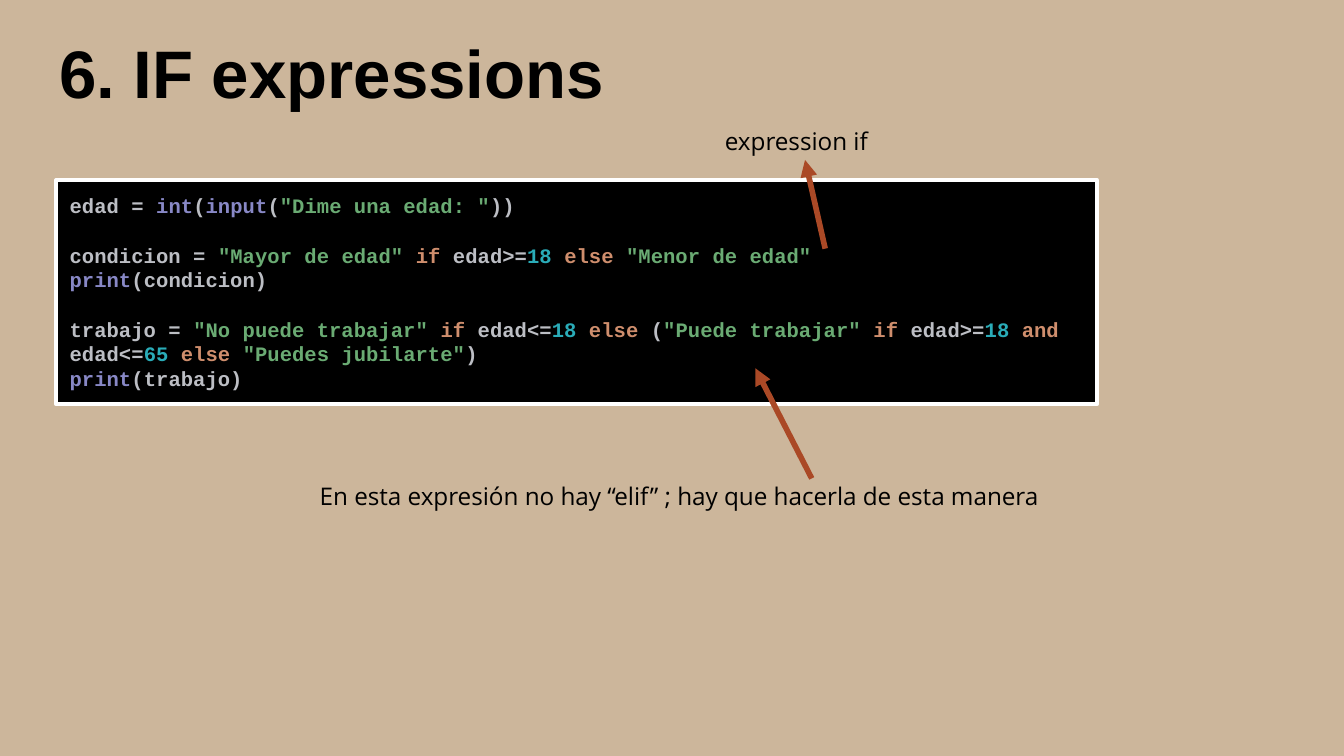
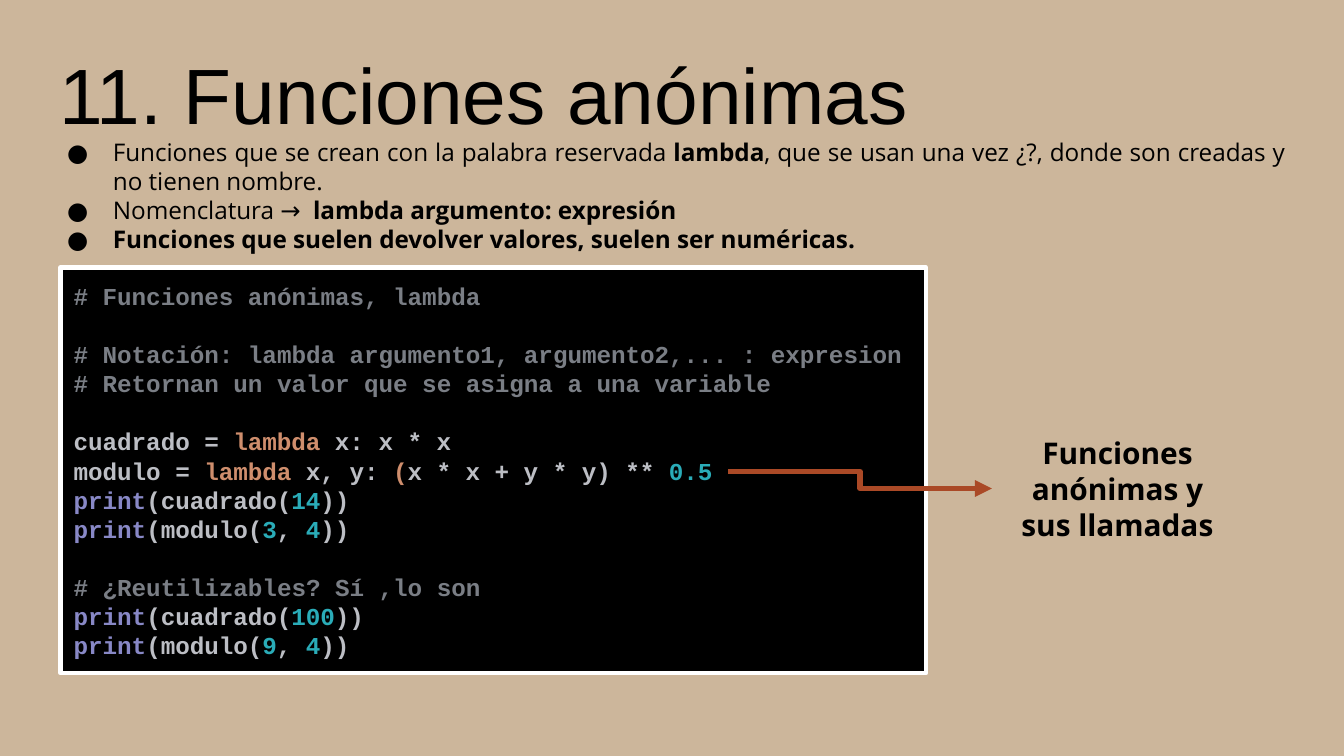
from dataclasses import dataclass

from lxml.etree import SubElement
from pptx import Presentation
from pptx.dml.color import RGBColor
from pptx.enum.shapes import MSO_CONNECTOR, MSO_SHAPE
from pptx.enum.text import MSO_ANCHOR, MSO_AUTO_SIZE, PP_ALIGN
from pptx.oxml.ns import qn
from pptx.util import Inches, Pt

SAND = RGBColor(0xCC, 0xB6, 0x9B)
BLACK = RGBColor(0x00, 0x00, 0x00)
WHITE = RGBColor(0xFF, 0xFF, 0xFF)
RUST = RGBColor(0xAA, 0x49, 0x26)
PLAIN = RGBColor(0xBC, 0xBE, 0xC4)
BUILTIN = RGBColor(0x88, 0x88, 0xC6)
STRING = RGBColor(0x6A, 0xAB, 0x73)
KEYWORD = RGBColor(0xCF, 0x8E, 0x6D)
NUMBER = RGBColor(0x2A, 0xAC, 0xB8)
COMMENT = RGBColor(0x7A, 0x7E, 0x85)

TITLE_FONT = "Arial"
TEXT_FONT = "Open Sans"
CODE_FONT = "Courier New"
CODE_LEADING = 1.2
INSET = Inches(0.1)
TITLE_ONLY, TITLE_AND_CONTENT = 5, 1


@dataclass
class Region:
    left: int
    top: int
    width: int
    height: int

    def point(self, column, row):
        return (int(self.left + self.width * column / 100),
                int(self.top + self.height * row / 100))

    def area(self, column, row, columns, rows):
        return Region(*self.point(column, row),
                      int(self.width * columns / 100), int(self.height * rows / 100))

    def bounds(self):
        return self.left, self.top, self.width, self.height


def prepare_frame(holder, anchor):
    frame = holder.text_frame
    frame.word_wrap = True
    frame.auto_size = MSO_AUTO_SIZE.NONE
    frame.vertical_anchor = anchor
    frame.margin_left = frame.margin_right = INSET
    frame.margin_top = frame.margin_bottom = INSET
    return frame


def next_paragraph(frame, index, align):
    paragraph = frame.add_paragraph() if index else frame.paragraphs[0]
    paragraph.alignment = align
    paragraph.space_before = Pt(0)
    return paragraph


def add_run(paragraph, text, font, size, color=BLACK, bold=False):
    run = paragraph.add_run()
    run.text = text
    run.font.name = font
    run.font.size = Pt(size)
    run.font.color.rgb = color
    run.font.bold = bold


def move_to(placeholder, region):
    placeholder.left, placeholder.top, placeholder.width, placeholder.height = region.bounds()


def start_slide(deck, layout):
    slide = deck.slides.add_slide(deck.slide_layouts[layout])
    slide.background.fill.solid()
    slide.background.fill.fore_color.rgb = SAND
    return slide, Region(0, 0, deck.slide_width, deck.slide_height)


def set_title(slide, region, text, size, bold=False):
    title = slide.shapes.title
    move_to(title, region)
    frame = prepare_frame(title, MSO_ANCHOR.BOTTOM)
    add_run(next_paragraph(frame, 0, PP_ALIGN.LEFT), text, TITLE_FONT, size, BLACK, bold)


def set_bullets(slide, region, items, size):
    body = slide.placeholders[1]
    move_to(body, region)
    frame = prepare_frame(body, MSO_ANCHOR.MIDDLE)
    for index, item in enumerate(items):
        paragraph = next_paragraph(frame, index, PP_ALIGN.JUSTIFY)
        properties = paragraph._p.get_or_add_pPr()
        properties.set("marL", str(Inches(0.5)))
        properties.set("indent", str(Inches(-0.34)))
        bullet_color = SubElement(properties, qn("a:buClr"))
        SubElement(bullet_color, qn("a:srgbClr")).set("val", str(BLACK))
        SubElement(properties, qn("a:buFont")).set("typeface", TEXT_FONT)
        SubElement(properties, qn("a:buChar")).set("char", "●")
        for text, bold in item:
            add_run(paragraph, text, TEXT_FONT, size, BLACK, bold)


def add_code(slide, region, blocks, size):
    panel = slide.shapes.add_shape(MSO_SHAPE.RECTANGLE, *region.bounds())
    panel.shadow.inherit = False
    panel.fill.solid()
    panel.fill.fore_color.rgb = BLACK
    panel.line.color.rgb = WHITE
    panel.line.width = Pt(2.25)
    frame = prepare_frame(panel, MSO_ANCHOR.TOP)
    lines = [(line, block > 0 and row == 0)
             for block, code in enumerate(blocks) for row, line in enumerate(code)]
    for index, (line, opens_block) in enumerate(lines):
        paragraph = next_paragraph(frame, index, PP_ALIGN.LEFT)
        if opens_block:
            paragraph.space_before = Pt(size * CODE_LEADING)
        for color, text in line:
            add_run(paragraph, text, CODE_FONT, size, color, True)


def add_note(slide, region, text, size, anchor=MSO_ANCHOR.TOP, bold=False):
    note = slide.shapes.add_textbox(*region.bounds())
    frame = prepare_frame(note, anchor)
    add_run(next_paragraph(frame, 0, PP_ALIGN.CENTER), text, TEXT_FONT, size, BLACK, bold)
    return note


def add_arrow(slide, start, end, route=MSO_CONNECTOR.STRAIGHT):
    arrow = slide.shapes.add_connector(route, *start, *end)
    arrow.line.color.rgb = RUST
    arrow.line.width = Pt(3)
    properties = arrow._element.spPr
    SubElement(properties.find(qn("a:ln")), qn("a:tailEnd")).set("type", "triangle")
    SubElement(properties, qn("a:effectLst"))
    return arrow


def print_call(*pieces):
    return [(BUILTIN, "print"), *pieces]


def call_example(function, *numbers):
    pieces = [(PLAIN, f"({function}(")]
    for index, number in enumerate(numbers):
        if index:
            pieces.append((PLAIN, ", "))
        pieces.append((NUMBER, number))
    return print_call(*pieces, (PLAIN, "))"))


IF_CODE = [
    [[(PLAIN, "edad = "), (BUILTIN, "int"), (PLAIN, "("), (BUILTIN, "input"),
      (PLAIN, "("), (STRING, '"Dime una edad: "'), (PLAIN, "))")]],
    [[(PLAIN, "condicion = "), (STRING, '"Mayor de edad" '), (KEYWORD, "if "),
      (PLAIN, "edad>="), (NUMBER, "18 "), (KEYWORD, "else "),
      (STRING, '"Menor de edad"')],
     print_call((PLAIN, "(condicion)"))],
    [[(PLAIN, "trabajo = "), (STRING, '"No puede trabajar" '), (KEYWORD, "if "),
      (PLAIN, "edad<="), (NUMBER, "18 "), (KEYWORD, "else "), (PLAIN, "("),
      (STRING, '"Puede trabajar" '), (KEYWORD, "if "), (PLAIN, "edad>="),
      (NUMBER, "18 "), (KEYWORD, "and "), (PLAIN, "edad<="), (NUMBER, "65 "),
      (KEYWORD, "else "), (STRING, '"Puedes jubilarte"'), (PLAIN, ")")],
     print_call((PLAIN, "(trabajo)"))],
]

LAMBDA_CODE = [
    [[(COMMENT, "# Funciones anónimas, lambda")]],
    [[(COMMENT, "# Notación: lambda argumento1, argumento2,... : expresion")],
     [(COMMENT, "# Retornan un valor que se asigna a una variable")]],
    [[(PLAIN, "cuadrado = "), (KEYWORD, "lambda "), (PLAIN, "x: x * x")],
     [(PLAIN, "modulo = "), (KEYWORD, "lambda "), (PLAIN, "x, y: "),
      (KEYWORD, "("), (PLAIN, "x * x + y * y) ** "), (NUMBER, "0.5")],
     call_example("cuadrado", "14"),
     call_example("modulo", "3", "4")],
    [[(COMMENT, "# ¿Reutilizables? Sí ,lo son")],
     call_example("cuadrado", "100"),
     call_example("modulo", "9", "4")],
]

LAMBDA_FACTS = [
    [("Funciones que se crean con la palabra reservada ", False), ("lambda", True),
     (", que se usan una vez ¿?, donde son creadas y no tienen nombre.", False)],
    [("Nomenclatura →  ", False), ("lambda argumento: expresión", True)],
    [("Funciones que suelen devolver valores, suelen ser numéricas.", True)],
]


def build_if_slide(deck):
    slide, page = start_slide(deck, TITLE_ONLY)
    set_title(slide, page.area(3.4, 6.22, 93.2, 10.31), "6. IF expressions", 36, True)
    add_code(slide, page.area(4.2, 23.82, 77.4, 29.69), IF_CODE, 11)
    add_arrow(slide, page.point(61.4, 32.89), page.point(59.9, 21.16))
    add_note(slide, page.area(52.4, 14.93, 13.7, 9.78), "expression if", 13)
    add_arrow(slide, page.point(60.4, 63.29), page.point(56.2, 48.71))
    add_note(slide, page.area(18.9, 61.87, 63.2, 9.78),
             "En esta expresión no hay “elif” ; hay que hacerla de esta manera", 13)


def build_lambda_slide(deck):
    slide, page = start_slide(deck, TITLE_AND_CONTENT)
    set_title(slide, page.area(3.4, 4.09, 93.2, 16.18), "11. Funciones anónimas", 42)
    set_bullets(slide, page.area(2.4, 19.02, 94.2, 13.69), LAMBDA_FACTS, 13)
    add_code(slide, page.area(4.5, 35.38, 64.4, 53.69), LAMBDA_CODE, 13)
    calls = add_note(slide, page.area(73.8, 56.89, 18.7, 15.47),
                     "Funciones anónimas y sus llamadas", 16, MSO_ANCHOR.MIDDLE, True)
    arrow = add_arrow(slide, page.point(54.2, 62.4), page.point(73.8, 64.71),
                      MSO_CONNECTOR.ELBOW)
    arrow.end_connect(calls, 1)


def main():
    deck = Presentation()
    deck.slide_width = Inches(10)
    deck.slide_height = Inches(5.625)
    build_if_slide(deck)
    build_lambda_slide(deck)
    deck.save("out.pptx")


if __name__ == "__main__":
    main()
